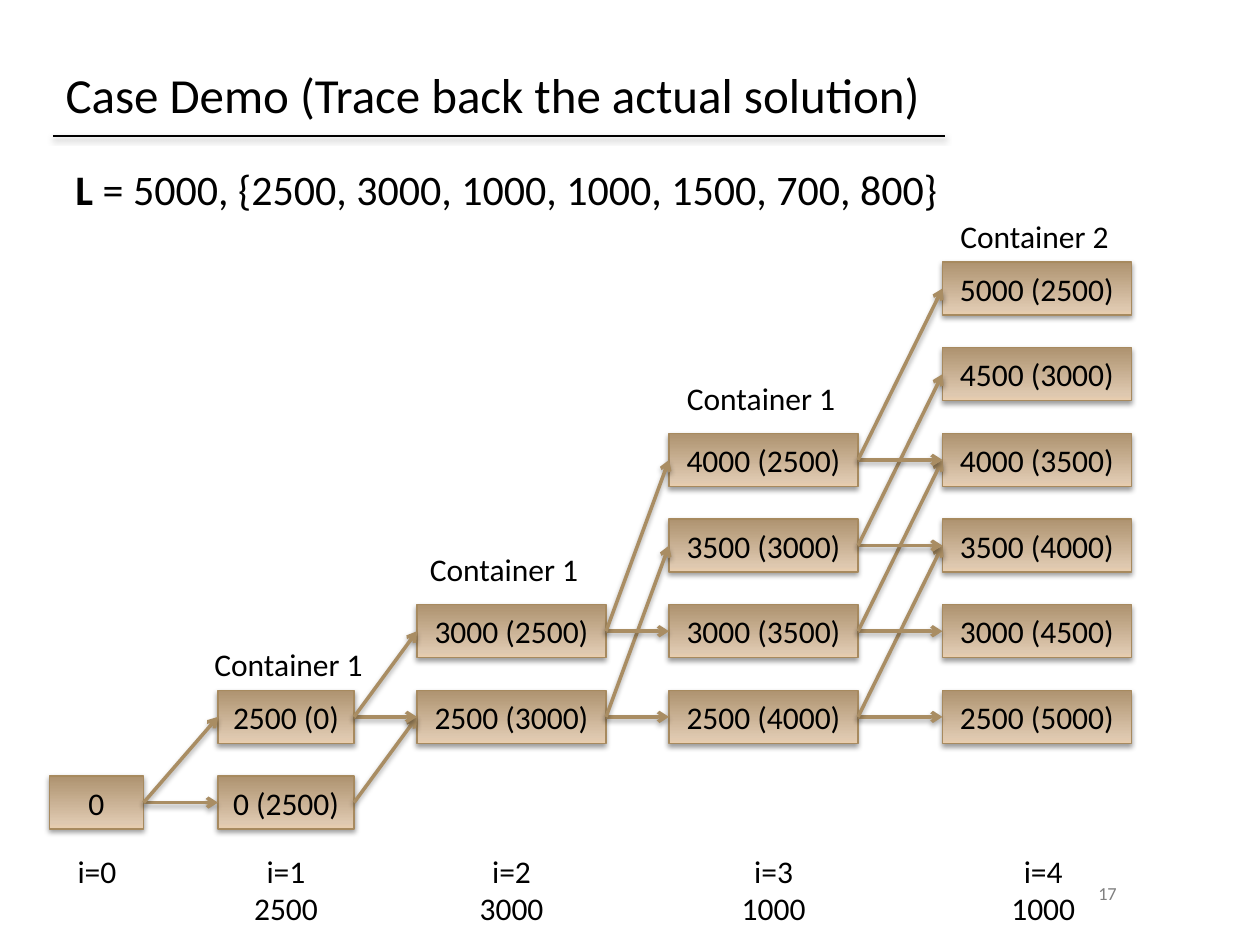
from copy import deepcopy
from pptx import Presentation
from pptx.dml.color import RGBColor
from pptx.enum.shapes import MSO_CONNECTOR as Connector, MSO_SHAPE as Shape
from pptx.enum.text import MSO_ANCHOR as Anchor, MSO_AUTO_SIZE as AutoSize, PP_ALIGN as Align
from pptx.oxml import parse_xml
from pptx.oxml.ns import nsdecls, qn
from pptx.util import Inches, Pt

TITLE = "Case Demo (Trace back the actual solution)"
PROBLEM = [("L", True), (" = 5000, {2500, 3000, 1000, 1000, 1500, 700, 800}", False)]
PAGE_NUMBER = "17"

STAGES = [
    {"left": 0.39, "width": 0.75, "first_row": 0, "states": ["0"],
     "step": ["i=0"], "step_left": 0.3, "jump": 1},
    {"left": 1.73, "width": 1.08, "first_row": 0, "states": ["0 (2500)", "2500 (0)"],
     "step": ["i=1", "2500"], "step_left": 1.8, "jump": 1,
     "container": ("Container 1", 1.5, 5.07)},
    {"left": 3.31, "width": 1.5, "first_row": 1, "states": ["2500 (3000)", "3000 (2500)"],
     "step": ["i=2", "3000"], "step_left": 3.59, "jump": 2,
     "container": ("Container 1", 3.21, 4.32)},
    {"left": 5.31, "width": 1.5, "first_row": 1,
     "states": ["2500 (4000)", "3000 (3500)", "3500 (3000)", "4000 (2500)"],
     "step": ["i=3", "1000"], "step_left": 5.67, "jump": 2,
     "container": ("Container 1", 5.25, 2.96)},
    {"left": 7.48, "width": 1.5, "first_row": 1,
     "states": ["2500 (5000)", "3000 (4500)", "3500 (4000)",
                "4000 (3500)", "4500 (3000)", "5000 (2500)"],
     "step": ["i=4", "1000"], "step_left": 7.81, "jump": 2,
     "container": ("Container 2", 7.42, 1.67)},
]

COLORS = {"text": "000000", "number": "808080", "rule": "000000",
          "border": "A78A5F", "arrow": "A98D63"}
GRADIENT = [(0, "E8CDAE"), (0.12, "DEC8AF"), (1, "AE9370")]
FONT = "Calibri"
BOTTOM_ROW, ROW_PITCH, BOX_HEIGHT = 6.16, 0.68, 0.42
STEP_TOP, STEP_WIDTH, LABEL_WIDTH = 6.71, 0.94, 1.58
LEFT_SITE, RIGHT_SITE = 1, 3


def color(name):
    return RGBColor.from_string(COLORS[name])


def write(frame, lines, size, align=Align.CENTER, anchor=Anchor.TOP, ink="text"):
    frame.word_wrap = True
    frame.auto_size = AutoSize.NONE
    frame.vertical_anchor = anchor
    for index, runs in enumerate(lines):
        para = frame.paragraphs[0] if index == 0 else frame.add_paragraph()
        para.alignment = align
        for text, bold in runs:
            span = para.add_run()
            span.text = text
            span.font.name = FONT
            span.font.size = Pt(size)
            span.font.bold = bold
            span.font.color.rgb = color(ink)


def add_label(page, left, top, width, height, lines, size, **style):
    box = page.shapes.add_textbox(*map(Inches, (left, top, width, height)))
    write(box.text_frame, lines, size, **style)


def add_shadow(item, opacity, distance):
    item._element.spPr.append(parse_xml(
        f'<a:effectLst {nsdecls("a")}><a:outerShdw blurRad="{Pt(3.1)}" dist="{Pt(distance)}" '
        f'dir="5400000" rotWithShape="0"><a:srgbClr val="000000">'
        f'<a:alpha val="{opacity * 1000}"/></a:srgbClr></a:outerShdw></a:effectLst>'))


def add_line(page, start, end, ink, width):
    line = page.shapes.add_connector(Connector.STRAIGHT, *map(Inches, start + end))
    line.line.color.rgb = color(ink)
    line.line.width = Pt(width)
    return line


def add_state(page, left, row, width, text):
    top = BOTTOM_ROW - row * ROW_PITCH
    box = page.shapes.add_shape(Shape.RECTANGLE, *map(Inches, (left, top, width, BOX_HEIGHT)))
    box.fill.gradient()
    box.fill.gradient_angle = 90
    stops = box._element.spPr.find(".//" + qn("a:gsLst"))
    stops.append(deepcopy(stops[-1]))
    for stop, (position, shade) in zip(box.fill.gradient_stops, GRADIENT):
        stop.position = position
        stop.color.rgb = RGBColor.from_string(shade)
    box.line.color.rgb = color("border")
    box.line.width = Pt(0.75)
    add_shadow(box, 38, 1.6)
    write(box.text_frame, [[(text, False)]], 18, anchor=Anchor.MIDDLE)
    return box


def add_arrow(page, source, target):
    arrow = add_line(page, (0, 0), (1, 1), "arrow", 2)
    arrow.begin_connect(source, RIGHT_SITE)
    arrow.end_connect(target, LEFT_SITE)
    arrow.line._get_or_add_ln().append(parse_xml(f'<a:tailEnd {nsdecls("a")} type="arrow"/>'))
    add_shadow(arrow, 35, 1.8)


def main():
    deck = Presentation()
    deck.slide_width, deck.slide_height = Inches(10), Inches(7.5)
    page = deck.slides.add_slide(deck.slide_layouts[5])

    title = page.shapes.title
    title.left, title.top, title.width, title.height = map(Inches, (0.42, 0.33, 8.75, 0.83))
    write(title.text_frame, [[(TITLE, False)]], 28, align=Align.LEFT, anchor=Anchor.MIDDLE)
    rule = add_line(page, (0.42, 1.08), (7.5, 1.08), "rule", 1.25)
    add_shadow(rule, 38, 1.6)
    add_label(page, 8.5, 7, 0.58, 0.17, [[(PAGE_NUMBER, False)]], 10.5,
              anchor=Anchor.MIDDLE, ink="number")
    add_label(page, 0.5, 1.25, 7.92, 0.5, [PROBLEM], 24, align=Align.LEFT)

    columns = [
        {row: add_state(page, stage["left"], row, stage["width"], text)
         for row, text in enumerate(stage["states"], stage["first_row"])}
        for stage in STAGES
    ]
    for stage, sources, targets in zip(STAGES, columns, columns[1:]):
        for row, source in sources.items():
            for target_row in (row, row + stage["jump"]):
                if target_row in targets:
                    add_arrow(page, source, targets[target_row])

    for stage in STAGES:
        lines = [[(text, False)] for text in stage["step"]]
        add_label(page, stage["step_left"], STEP_TOP, STEP_WIDTH,
                  0.09 + 0.31 * len(lines), lines, 18)
        if "container" in stage:
            text, left, top = stage["container"]
            add_label(page, left, top, LABEL_WIDTH, 0.4, [[(text, False)]], 18)

    deck.save("out.pptx")


if __name__ == "__main__":
    main()
